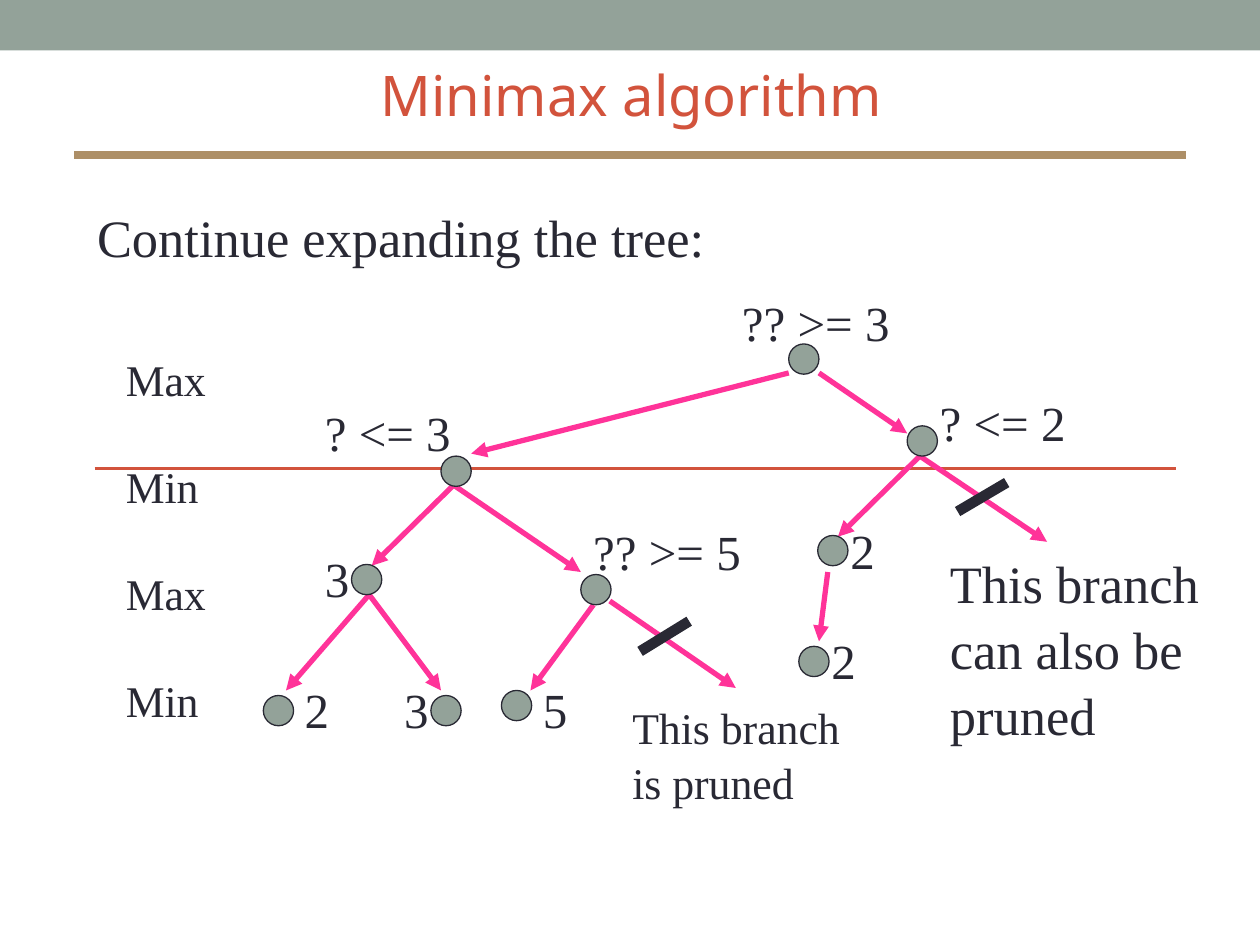
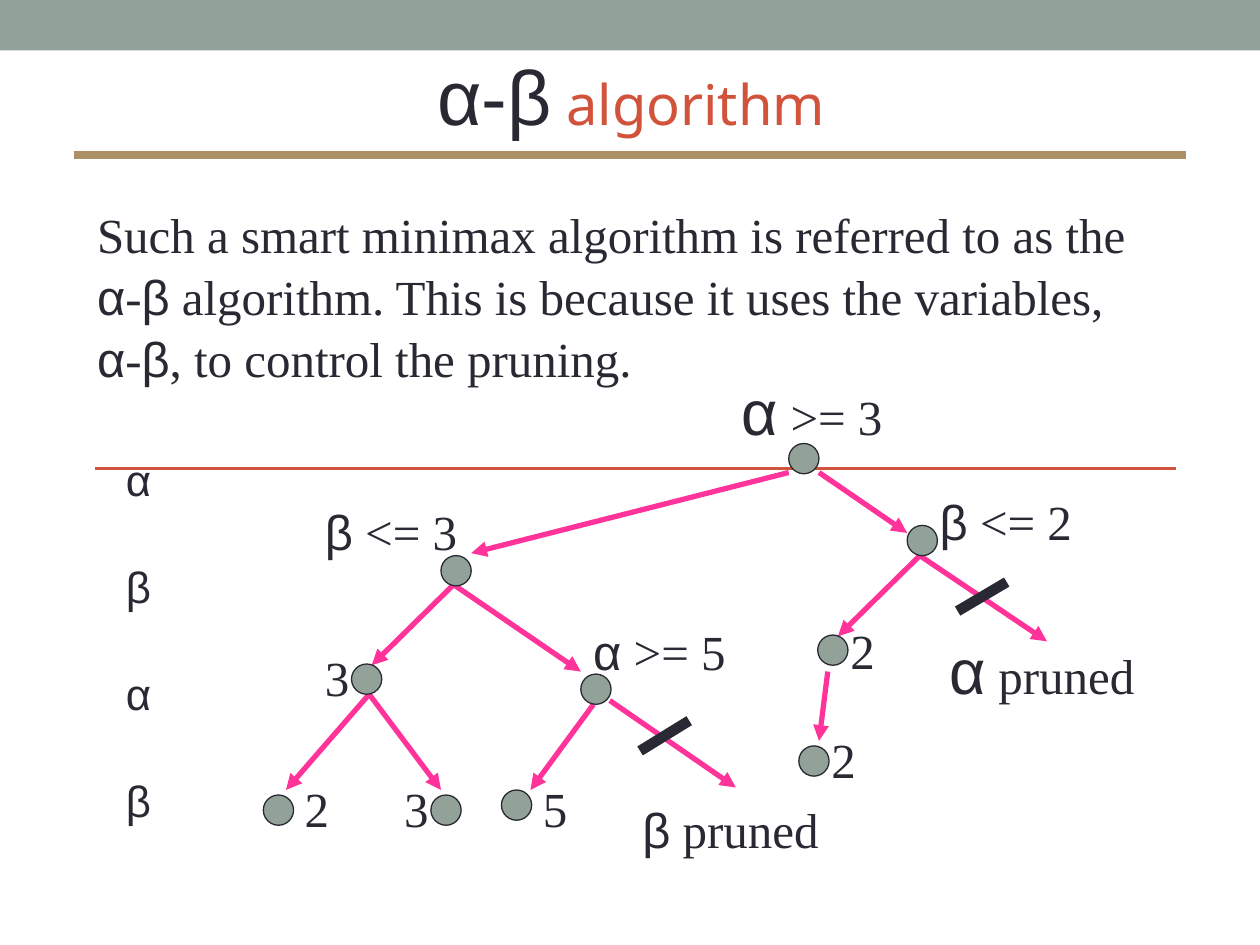
"""Build two slides on pruning a minimax search tree."""
from dataclasses import dataclass
from itertools import groupby
from typing import Any, NamedTuple

from lxml.etree import SubElement
from pptx import Presentation
from pptx.dml.color import RGBColor
from pptx.enum.shapes import MSO_CONNECTOR, MSO_SHAPE
from pptx.enum.text import MSO_ANCHOR, MSO_AUTO_SIZE, PP_ALIGN
from pptx.oxml.ns import qn
from pptx.util import Inches, Pt

SLIDE_WIDTH, SLIDE_HEIGHT = Inches(10), Inches(7.5)
COLUMNS, ROWS = 100, 75
COLORS = {
    "band": "93A299",
    "rule": "AD8F67",
    "accent": "D2533C",
    "text": "292934",
    "arrow": "FF3399",
}
SERIF, GREEK_FONT, TITLE_FONT = "Times New Roman", "Arial", "Noto Sans"
GREEK = "αβ"
NODE_SIZE = 2.4
LEVEL_TOP, LEVEL_STEP = 27.3, 8.5
BOX_FORMAT = {"word_wrap": True, "auto_size": MSO_AUTO_SIZE.NONE}


class Node(NamedTuple):
    """Top left corner of a tree node, in grid units."""

    column: float
    row: float


class Line(NamedTuple):
    """Start and end of a straight line, in grid units."""

    start_column: float
    start_row: float
    end_column: float
    end_row: float


class Piece(NamedTuple):
    """A stretch of text in one font."""

    text: str
    font: str
    size: float
    color: str = "text"


class Label(NamedTuple):
    """A text box, in grid units, with its own size for Greek letters."""

    column: float
    row: float
    width: float
    height: float
    text: str
    size: float = 28
    greek_size: float | None = None


@dataclass(frozen=True)
class TreeSlide:
    """What sets one tree slide apart from the other."""

    title: tuple[Piece, ...]
    intro: Label
    max_level: str
    min_level: str
    max_mark: str
    min_mark: str
    labels: tuple[Label, ...]
    tree_shift: float = 0


NODES = (
    Node(62.6, 27.3), Node(35, 36.2), Node(72, 33.8), Node(27.9, 44.8),
    Node(46.1, 45.6), Node(64.9, 42.5), Node(20.9, 55.2), Node(34.2, 55.2),
    Node(39.8, 54.8), Node(63.4, 51.3),
)
BRANCHES = (
    Line(62.6, 29.6, 37.4, 36), Line(65, 29.6, 72, 34.4),
    Line(36, 38.5, 29.5, 44.9), Line(36, 38.5, 46.1, 45.4),
    Line(73, 36.2, 66.5, 42.6), Line(73, 36.2, 83.1, 43),
    Line(29.3, 47.2, 22.7, 54.8), Line(29.3, 47.2, 35, 54.8),
    Line(47.1, 48, 42.1, 54.8), Line(48.4, 47.7, 58.4, 54.6),
    Line(65.7, 45.4, 65, 50.9),
)
CUTS = (Line(54.7, 49.3, 50.8, 51.7), Line(79.9, 38.3, 76, 40.6))
VALUES = tuple(
    Label(column, row, 4.7, 5.7, text)
    for column, row, text in (
        (23.2, 53.2, "2"), (31.1, 53.2, "3"), (24.8, 42.8, "3"),
        (42.1, 53.2, "5"), (65, 49.3, "2"), (66.5, 40.6, "2"),
    )
)
SLIDES = (
    TreeSlide(
        title=(Piece("Minimax algorithm", TITLE_FONT, 32, "accent"),),
        intro=Label(6.7, 15.5, 85.1, 6, "Continue expanding the tree:", 30),
        max_level="Max",
        min_level="Min",
        max_mark="??",
        min_mark="?",
        labels=(
            Label(57.9, 22.5, 14.2, 5.7, "?? >= 3"),
            Label(49.2, 54.9, 18.9, 9.3, "This branch is pruned", 25),
            Label(74.4, 43, 22, 16, "This branch can also be pruned", 30),
        ),
    ),
    TreeSlide(
        title=(
            Piece("α-β", GREEK_FONT, 44),
            Piece(" algorithm", TITLE_FONT, 32, "accent"),
        ),
        intro=Label(
            6.7, 15.5, 85.1, 15,
            "Such a smart minimax algorithm is referred to as the α-β algorithm. "
            "This is because it uses the variables, α-β, to control the pruning.",
        ),
        max_level="α",
        min_level="β",
        max_mark="α",
        min_mark="β",
        labels=(
            Label(57.9, 20.9, 14.9, 7, "α >= 3", greek_size=36),
            Label(50, 54.8, 17.3, 5.7, "β pruned"),
            Label(74.4, 41.4, 17.3, 7, "α pruned", greek_size=36),
        ),
        tree_shift=7.9,
    ),
)


def across(columns: float) -> int:
    """Turn grid columns into a length."""
    return round(SLIDE_WIDTH * columns / COLUMNS)


def down(rows: float) -> int:
    """Turn grid rows into a length."""
    return round(SLIDE_HEIGHT * rows / ROWS)


def apply_format(target: Any, values: dict[str, Any]) -> None:
    """Set every named attribute on the target."""
    for name, value in values.items():
        setattr(target, name, value)


def place(shape: Any, column: float, row: float, width: float, height: float) -> None:
    """Move and size a shape on the grid."""
    apply_format(shape, {
        "left": across(column), "top": down(row),
        "width": across(width), "height": down(height),
    })


def color(name: str) -> RGBColor:
    """Look up a colour by its role."""
    return RGBColor.from_string(COLORS[name])


def add_pieces(paragraph: Any, pieces: tuple[Piece, ...]) -> None:
    """Write the pieces as runs of a paragraph."""
    for piece in pieces:
        run = paragraph.add_run()
        run.text = piece.text
        apply_format(run.font, {"name": piece.font, "size": Pt(piece.size)})
        run.font.color.rgb = color(piece.color)


def split_greek(label: Label) -> tuple[Piece, ...]:
    """Split a label's text into Greek and other pieces."""
    return tuple(
        Piece("".join(letters), GREEK_FONT, label.greek_size or label.size)
        if is_greek else Piece("".join(letters), SERIF, label.size)
        for is_greek, letters in groupby(label.text, lambda letter: letter in GREEK)
    )


def fill_label(shape: Any, label: Label, shift: float = 0) -> Any:
    """Place a label in a shape, write its text and return the paragraph."""
    place(shape, label.column, label.row + shift, label.width, label.height)
    apply_format(shape.text_frame, BOX_FORMAT | {"vertical_anchor": MSO_ANCHOR.TOP})
    paragraph = shape.text_frame.paragraphs[0]
    apply_format(paragraph, {"line_spacing": 1.05, "space_before": Pt(0)})
    add_pieces(paragraph, split_greek(label))
    return paragraph


def draw_line(slide: Any, line: Line, color_name: str, width: float,
              shift: float = 0, arrow: bool = False) -> None:
    """Draw a straight line, with an arrowhead at its end on request."""
    connector = slide.shapes.add_connector(
        MSO_CONNECTOR.STRAIGHT,
        across(line.start_column), down(line.start_row + shift),
        across(line.end_column), down(line.end_row + shift),
    )
    connector.line.width = Pt(width)
    connector.line.color.rgb = color(color_name)
    properties = connector._element.spPr
    if arrow:
        SubElement(properties.find(qn("a:ln")), qn("a:tailEnd"), type="triangle")
    SubElement(properties, qn("a:effectLst"))


def draw_shape(slide: Any, kind: MSO_SHAPE, column: float, row: float,
               width: float, height: float) -> Any:
    """Draw a plain shape in the band colour."""
    shape = slide.shapes.add_shape(
        kind, across(column), down(row), across(width), down(height))
    shape.shadow.inherit = False
    shape.fill.solid()
    shape.fill.fore_color.rgb = color("band")
    return shape


def draw_frame(slide: Any, content: TreeSlide) -> None:
    """Draw the band, rules, title and introduction."""
    draw_shape(slide, MSO_SHAPE.RECTANGLE, 0, 0, COLUMNS, 4).line.fill.background()
    draw_line(slide, Line(7.5, 37.2, 93.3, 37.2), "accent", 1.5)
    draw_line(slide, Line(5.9, 12.3, 94.1, 12.3), "rule", 4.5)
    title = slide.shapes.title
    place(title, 5.1, 2.8, 90, 9.4)
    apply_format(title.text_frame, BOX_FORMAT | {"vertical_anchor": MSO_ANCHOR.MIDDLE})
    title.text_frame.paragraphs[0].alignment = PP_ALIGN.CENTER
    add_pieces(title.text_frame.paragraphs[0], content.title)
    paragraph = fill_label(slide.placeholders[1], content.intro)
    properties = paragraph._p.get_or_add_pPr()
    for name in ("marL", "indent"):
        properties.set(name, "0")
    SubElement(properties, qn("a:buNone"))


def draw_tree(slide: Any, content: TreeSlide) -> None:
    """Draw the search tree with its levels, bounds and values."""
    shift = content.tree_shift
    for branch in BRANCHES:
        draw_line(slide, branch, "arrow", 3, shift, arrow=True)
    for cut in CUTS:
        draw_line(slide, cut, "text", 6, shift)
    for node in NODES:
        circle = draw_shape(slide, MSO_SHAPE.OVAL, node.column, node.row + shift,
                            NODE_SIZE, NODE_SIZE)
        circle.line.width = Pt(0.75)
        circle.line.color.rgb = color("text")
    levels = tuple(
        Label(9, LEVEL_TOP + LEVEL_STEP * index, 11.8, 5.2, name, 25)
        for index, name in enumerate((content.max_level, content.min_level) * 2)
    )
    bounds = (
        Label(24.8, 31.2, 14.2, 5.7, f"{content.min_mark} <= 3"),
        Label(73.6, 30.4, 14.2, 5.7, f"{content.min_mark} <= 2"),
        Label(46.1, 40.7, 14.2, 5.7, f"{content.max_mark} >= 5"),
    )
    for label in levels + bounds + VALUES + content.labels:
        fill_label(slide.shapes.add_textbox(0, 0, 0, 0), label, shift)


def main() -> None:
    """Build and save the presentation."""
    presentation = Presentation()
    apply_format(presentation, {"slide_width": SLIDE_WIDTH, "slide_height": SLIDE_HEIGHT})
    for content in SLIDES:
        slide = presentation.slides.add_slide(presentation.slide_layouts[1])
        draw_frame(slide, content)
        draw_tree(slide, content)
    presentation.save("out.pptx")


if __name__ == "__main__":
    main()
